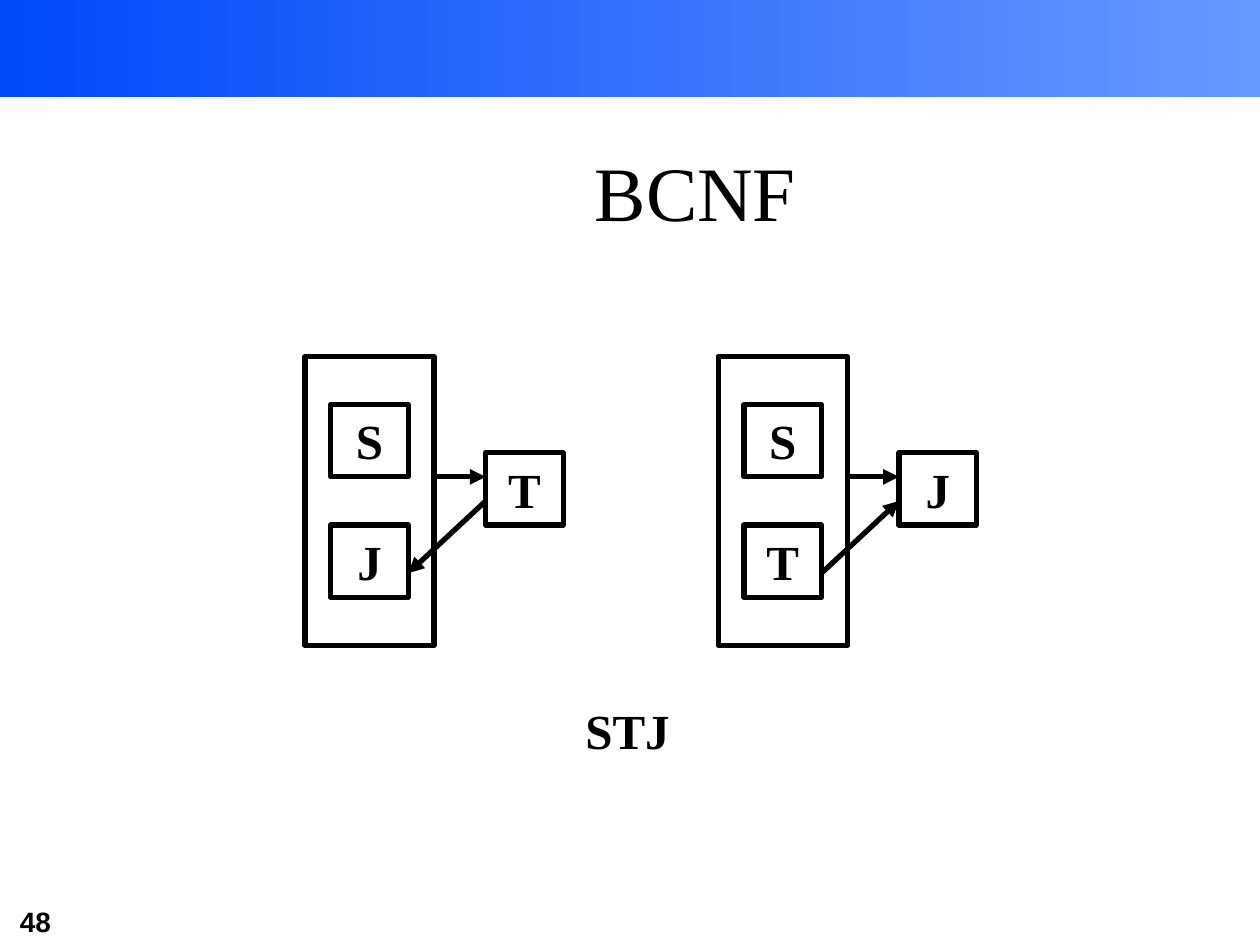
from lxml import etree
from pptx import Presentation
from pptx.dml.color import RGBColor
from pptx.enum.shapes import MSO_CONNECTOR, MSO_SHAPE
from pptx.enum.text import MSO_ANCHOR, PP_ALIGN
from pptx.oxml.ns import qn
from pptx.util import Inches, Pt

RECTANGLE = MSO_SHAPE.RECTANGLE
STRAIGHT = MSO_CONNECTOR.STRAIGHT
TOP, BOTTOM = MSO_ANCHOR.TOP, MSO_ANCHOR.BOTTOM
LEFT, CENTER = PP_ALIGN.LEFT, PP_ALIGN.CENTER

BLACK = RGBColor(0x00, 0x00, 0x00)
DEEP_BLUE = RGBColor(0x02, 0x49, 0xFA)
LIGHT_BLUE = RGBColor(0x66, 0x99, 0xFF)

SERIF, SANS = "Times New Roman", "Arial"
COLUMN, ROW = Inches(0.205), Inches(0.191)
DIAGRAM_TOP = Inches(2.83)
LINE_WIDTH = Pt(3)


def write(shape, text, size, font=SERIF, bold=True, align=CENTER, anchor=TOP):
    frame = shape.text_frame
    frame.word_wrap = True
    frame.vertical_anchor = anchor
    paragraph = frame.paragraphs[0]
    paragraph.text = text
    paragraph.alignment = align
    paragraph.font.name = font
    paragraph.font.size = Pt(size)
    paragraph.font.bold = bold
    paragraph.font.color.rgb = BLACK


def add_label(slide, left, top, width, height, text, size, **style):
    box = slide.shapes.add_textbox(*map(Inches, (left, top, width, height)))
    write(box, text, size, **style)


def add_band(slide, width, height):
    band = slide.shapes.add_shape(RECTANGLE, 0, 0, width, height)
    band.shadow.inherit = False
    band.line.fill.background()
    band.fill.gradient()
    band.fill.gradient_angle = 0
    for stop, color in zip(band.fill.gradient_stops, (DEEP_BLUE, LIGHT_BLUE)):
        stop.color.rgb = color


def grid_point(origin, column, row):
    return int(origin + column * COLUMN), int(DIAGRAM_TOP + row * ROW)


def add_frame(group, origin, column, row, columns, rows, text=""):
    frame = group.shapes.add_shape(
        RECTANGLE, *grid_point(origin, column, row),
        int(columns * COLUMN), int(rows * ROW))
    frame.shadow.inherit = False
    frame.fill.background()
    frame.line.color.rgb = BLACK
    frame.line.width = LINE_WIDTH
    if text:
        write(frame, text, 28)


def add_arrow(group, origin, start, end):
    arrow = group.shapes.add_connector(
        STRAIGHT, *grid_point(origin, *start), *grid_point(origin, *end))
    arrow.line.color.rgb = BLACK
    arrow.line.width = LINE_WIDTH
    etree.SubElement(arrow.line._get_or_add_ln(), qn("a:tailEnd"), type="triangle")
    etree.SubElement(arrow._element.spPr, qn("a:effectLst"))


def add_dependency(slide, left, upper, lower, target, target_to_lower):
    origin = Inches(left)
    group = slide.shapes.add_group_shape()
    add_frame(group, origin, 0, 0, 5, 12)
    for column, row, text in ((1, 2, upper), (1, 7, lower), (7, 4, target)):
        add_frame(group, origin, column, row, 3, 3, text)
    add_arrow(group, origin, (5, 5), (7, 5))
    ends = [(4, 9), (7, 6)]
    if target_to_lower:
        ends.reverse()
    add_arrow(group, origin, *ends)


def main():
    presentation = Presentation()
    presentation.slide_width = Inches(10)
    presentation.slide_height = Inches(7.5)
    slide = presentation.slides.add_slide(presentation.slide_layouts[6])

    add_band(slide, presentation.slide_width, Inches(0.77))
    add_label(slide, 0.06, 7.13, 1.22, 0.37, "48", 16, font=SANS, align=LEFT)
    add_label(slide, 1.26, 0.68, 8.52, 1.25, "BCNF", 44, bold=False, anchor=BOTTOM)
    add_dependency(slide, 2.42, "S", "J", "T", target_to_lower=True)
    add_dependency(slide, 5.7, "S", "T", "J", target_to_lower=False)
    add_label(slide, 4.47, 5.51, 1.02, 0.57, "STJ", 28)

    presentation.save("out.pptx")


if __name__ == "__main__":
    main()
